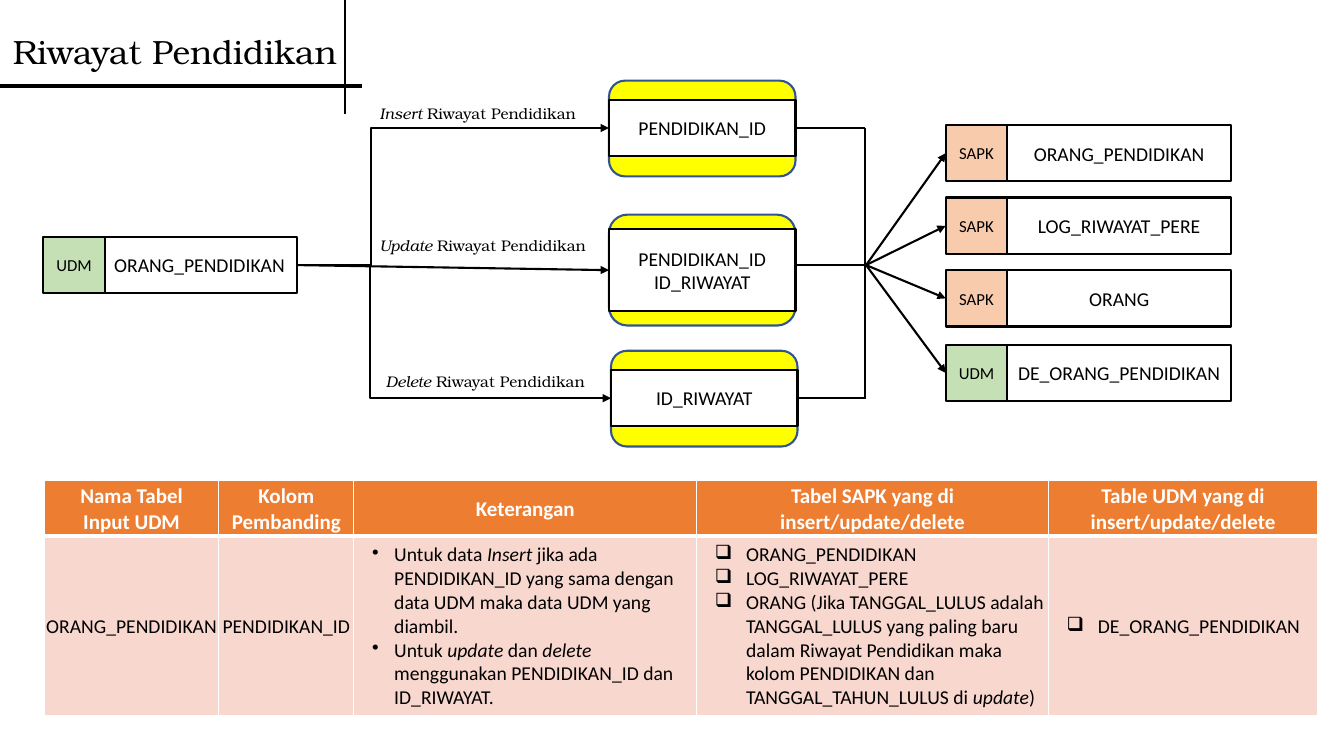
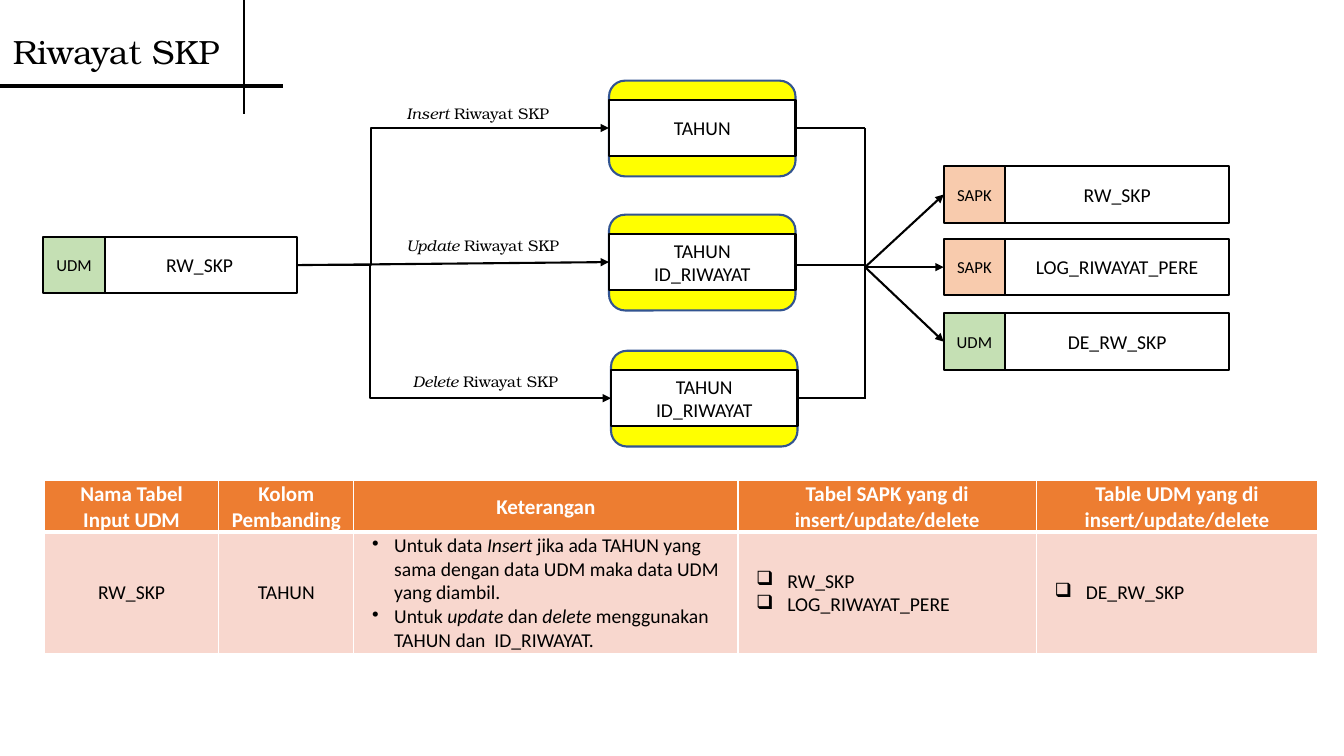
from lxml import etree
from pptx import Presentation
from pptx.dml.color import RGBColor
from pptx.enum.shapes import MSO_CONNECTOR, MSO_SHAPE
from pptx.enum.text import MSO_ANCHOR, MSO_AUTO_SIZE, PP_ALIGN
from pptx.oxml.ns import qn
from pptx.util import Emu, Pt

RECT, ROUND = MSO_SHAPE.RECTANGLE, MSO_SHAPE.ROUNDED_RECTANGLE
STRAIGHT, ELBOW = MSO_CONNECTOR.STRAIGHT, MSO_CONNECTOR.ELBOW
CENTER, LEFT = PP_ALIGN.CENTER, PP_ALIGN.LEFT
MIDDLE, GROW = MSO_ANCHOR.MIDDLE, MSO_AUTO_SIZE.SHAPE_TO_FIT_TEXT
SIDE_LEFT, SIDE_RIGHT = 1, 3

PX = 9144  # 100 px to the inch
BODY, SERIF = "Calibri", "TeX Gyre Bonum"
COLORS = {
    "black": "000000", "white": "FFFFFF", "yellow": "FFFF00", "blue": "325491",
    "SAPK": "F8CBAD", "UDM": "C5E0B4", "head": "ED7D31", "row": "F8D7CE",
}
HEADERS = ["Nama Tabel\nInput UDM", "Kolom Pembanding", "Keterangan",
           "Tabel SAPK yang di insert/update/delete",
           "Table UDM yang di insert/update/delete"]
# verb, label centre, label top, extra label width, key box left, key box top
FLOWS = [("Insert", 474, 98, 0, 604, 80),
         ("Update", 479, 229, 10, 604, 213),
         ("Delete", 481, 364, 3, 606, 348)]
ROW_H, KEY_W, TAG_W = 56, 185, 61
TRUNK_X = 858

SLIDES = [
    {
        "topic": "Riwayat Pendidikan",
        "title_w": 347, "rule_w": 359, "bar_x": 342, "label_w": 218,
        "source": "ORANG_PENDIDIKAN",
        "keys": ["PENDIDIKAN_ID", "PENDIDIKAN_ID\nID_RIWAYAT", "ID_RIWAYAT"],
        "update_h": (110, 82),
        "sapk": ["ORANG_PENDIDIKAN", "LOG_RIWAYAT_PERE", "ORANG"],
        "udm": "DE_ORANG_PENDIDIKAN",
        "target_at": (938, 124), "fan_from": (859, 263),
        "cols": [173, 134, 340, 349, 267], "rows": [55, 178],
        "compare": "PENDIDIKAN_ID",
        "notes": "Untuk data *Insert *jika ada PENDIDIKAN_ID yang sama dengan "
                 "data UDM maka data UDM yang diambil.\n"
                 "Untuk *update* dan *delete *menggunakan PENDIDIKAN_ID dan ID_RIWAYAT.",
        "sapk_note": " (Jika TANGGAL_LULUS adalah TANGGAL_LULUS yang paling baru "
                     "dalam Riwayat Pendidikan maka kolom PENDIDIKAN dan "
                     "TANGGAL_TAHUN_LULUS di *update*)",
    },
    {
        "topic": "Riwayat SKP",
        "title_w": 229, "rule_w": 281, "bar_x": 242, "label_w": 164,
        "source": "RW_SKP",
        "keys": ["TAHUN", "TAHUN\nID_RIWAYAT", "TAHUN\nID_RIWAYAT"],
        "update_h": (95, 56),
        "sapk": ["RW_SKP", "LOG_RIWAYAT_PERE"],
        "udm": "DE_RW_SKP",
        "target_at": (936, 165), "fan_from": (858, 265),
        "cols": [173, 134, 381, 296, 279], "rows": [46, 120],
        "compare": "TAHUN",
        "notes": "Untuk data *Insert *jika ada TAHUN yang sama dengan "
                 "data UDM maka data UDM yang diambil.\n"
                 "Untuk *update* dan *delete *menggunakan TAHUN dan  ID_RIWAYAT.",
        "sapk_note": "",
    },
]


def px(*values):
    return [Emu(v * PX) for v in values]


def rgb(name):
    return RGBColor.from_string(COLORS[name])


def write(tf, text, size, font=BODY, color="black", bold=False, align=CENTER, bullet=None):
    """One paragraph per line; text between asterisks is italic."""
    for i, line in enumerate(text.split("\n")):
        p = tf.paragraphs[0] if i == 0 else tf.add_paragraph()
        p.alignment = align
        if bullet:
            char, margin, indent = bullet
            pPr = p._p.get_or_add_pPr()
            pPr.set("marL", str(margin * PX))
            pPr.set("indent", str(-indent * PX))
            etree.SubElement(pPr, qn("a:buChar")).set("char", char)
        for j, part in enumerate(line.split("*")):
            if not part:
                continue
            r = p.add_run()
            r.text = part
            r.font.size, r.font.name = Pt(size), font
            r.font.bold, r.font.italic = bold, j % 2 == 1
            r.font.color.rgb = rgb(color)


def add_box(s, x, y, w, h, fill="white", text="", size=14, kind=RECT, line="black"):
    sp = s.shapes.add_shape(kind, *px(x, y, w, h))
    sp.shadow.inherit = False
    sp.fill.solid()
    sp.fill.fore_color.rgb = rgb(fill)
    sp.line.color.rgb = rgb(line)
    sp.line.width = Pt(1.5)
    if text:
        tf = sp.text_frame
        tf.word_wrap, tf.vertical_anchor = True, MIDDLE
        tf.margin_left = tf.margin_right = 0
        write(tf, text, size)
    return sp


def add_label(s, x, y, w, h, text, size, align):
    tf = s.shapes.add_textbox(*px(x, y, w, h)).text_frame
    tf.word_wrap, tf.auto_size = False, GROW
    write(tf, text, size, SERIF, align=align)


def add_line(s, start, end, begin=None, finish=None, arrow=False, bend=None, width=1.5):
    """Line between two points; begin and finish are shapes to join."""
    cx = s.shapes.add_connector(ELBOW if bend else STRAIGHT, *px(*start, *end))
    if begin is not None:
        cx.begin_connect(begin, SIDE_RIGHT)
    if finish is not None:
        cx.end_connect(finish, SIDE_LEFT)
    cx.line.color.rgb = rgb("black")
    cx.line.width = Pt(width)
    spPr = cx._element.spPr
    if arrow:
        etree.SubElement(spPr.find(qn("a:ln")), qn("a:tailEnd")).set("type", "triangle")
    if bend:
        gd = etree.SubElement(spPr.find(qn("a:prstGeom")).find(qn("a:avLst")), qn("a:gd"))
        gd.set("name", "adj1")
        gd.set("fmla", f"val {round(bend * 100000)}")
    etree.SubElement(spPr, qn("a:effectLst"))


def add_named_table(s, tag, name, tag_x, y, name_x, name_w):
    """Name box with a coloured tag on its left; returns both."""
    box = add_box(s, name_x, y, name_w, ROW_H, text=name)
    return add_box(s, tag_x, y, TAG_W, ROW_H, tag, tag, 12), box


def add_title(s, data):
    add_label(s, 3, 26, data["title_w"], 50, data["topic"], 24, LEFT)
    add_line(s, (0, 85), (data["rule_w"], 85), width=3)
    add_line(s, (data["bar_x"], 0), (data["bar_x"], 113))


def add_flows(s, data):
    source = add_named_table(s, "UDM", data["source"], 43, 235, 101, 194)[1]
    heights = [(95, ROW_H), data["update_h"], (95, ROW_H)]
    bends = [0.235, None, 0.231]
    for flow, keys, (outer_h, inner_h), bend in zip(FLOWS, data["keys"], heights, bends):
        verb, center, label_y, extra, x, y = flow
        add_box(s, x, y, KEY_W, outer_h, "yellow", kind=ROUND, line="blue")
        key_y = y + (outer_h - inner_h) // 2
        key = add_box(s, x, key_y, KEY_W, inner_h, text=keys)
        w = data["label_w"] + extra
        add_label(s, center - w // 2, label_y, w, 29, f"*{verb} *{data['topic']}", 11, CENTER)
        mid = key_y + inner_h // 2
        add_line(s, (295, 263), (x, mid), source, key, arrow=True, bend=bend)
        # The middle branch leaves level with the source table
        out_y = mid if bend else 263
        add_line(s, (x + KEY_W, out_y), (TRUNK_X, out_y), key if bend else None)
    add_line(s, (TRUNK_X, 127), (TRUNK_X, 396))


def add_targets(s, data):
    x, top = data["target_at"]
    targets = [("SAPK", name) for name in data["sapk"]] + [("UDM", data["udm"])]
    for i, (tag, name) in enumerate(targets):
        y = top + 72 * i + (2 if tag == "UDM" else 0)
        tag_box = add_named_table(s, tag, name, x, y, x + TAG_W, 222)[0]
        add_line(s, data["fan_from"], (x, y + ROW_H // 2), finish=tag_box, arrow=True)


def style_cell(cell, fill, top, bottom):
    tcPr = cell._tc.get_or_add_tcPr()
    for side, width in (("L", 1), ("R", 1), ("T", top), ("B", bottom)):
        ln = etree.SubElement(tcPr, qn(f"a:ln{side}"))
        ln.set("w", str(Pt(width)))
        color = etree.SubElement(etree.SubElement(ln, qn("a:solidFill")), qn("a:srgbClr"))
        color.set("val", COLORS["white"])
    cell.fill.solid()
    cell.fill.fore_color.rgb = rgb(fill)
    cell.vertical_anchor = MIDDLE
    cell.margin_left = cell.margin_right = cell.margin_top = Emu(PX)
    cell.margin_bottom = 0


def add_rules_table(s, data):
    cols, rows = data["cols"], data["rows"]
    tbl = s.shapes.add_table(2, len(cols), *px(44, 477, sum(cols), sum(rows))).table
    tbl.first_row = tbl.horz_banding = False
    for row, h in zip(tbl.rows, rows):
        row.height = Emu(h * PX)
    dot, check = ("•", 39, 22), ("❑", 48, 31)
    body = [(data["source"], None), (data["compare"], None), (data["notes"], dot),
            ("\n".join(data["sapk"]) + data["sapk_note"], check), (data["udm"], check)]
    for c, (w, header, (text, bullet)) in enumerate(zip(cols, HEADERS, body)):
        tbl.columns[c].width = Emu(w * PX)
        head, cell = tbl.cell(0, c), tbl.cell(1, c)
        style_cell(head, "head", 1, 3)
        write(head.text_frame, header, 15, color="white", bold=True)
        style_cell(cell, "row", 3, 1)
        write(cell.text_frame, text, 14, align=LEFT if bullet else CENTER, bullet=bullet)


def main():
    prs = Presentation()
    prs.slide_width, prs.slide_height = px(1333, 750)
    for data in SLIDES:
        s = prs.slides.add_slide(prs.slide_layouts[6])
        add_flows(s, data)
        add_targets(s, data)
        add_rules_table(s, data)
        add_title(s, data)
    prs.save("out.pptx")


if __name__ == "__main__":
    main()
